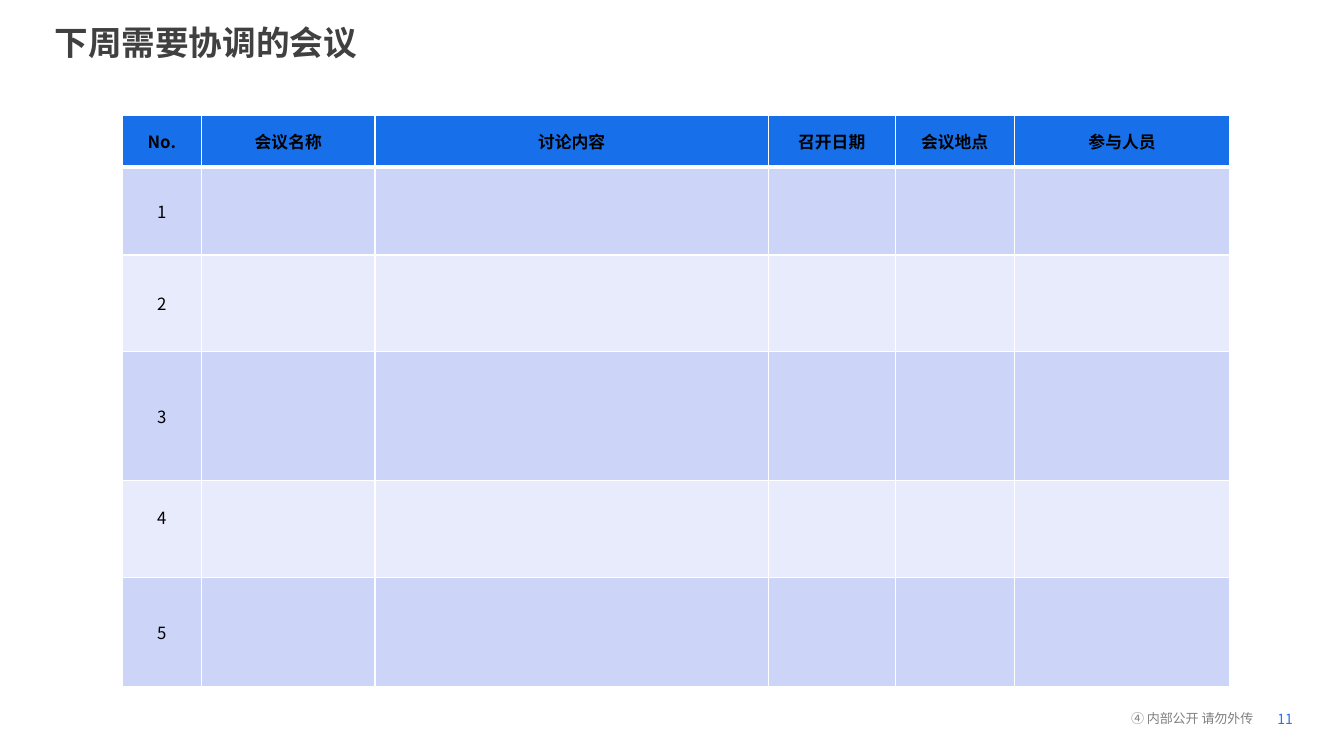
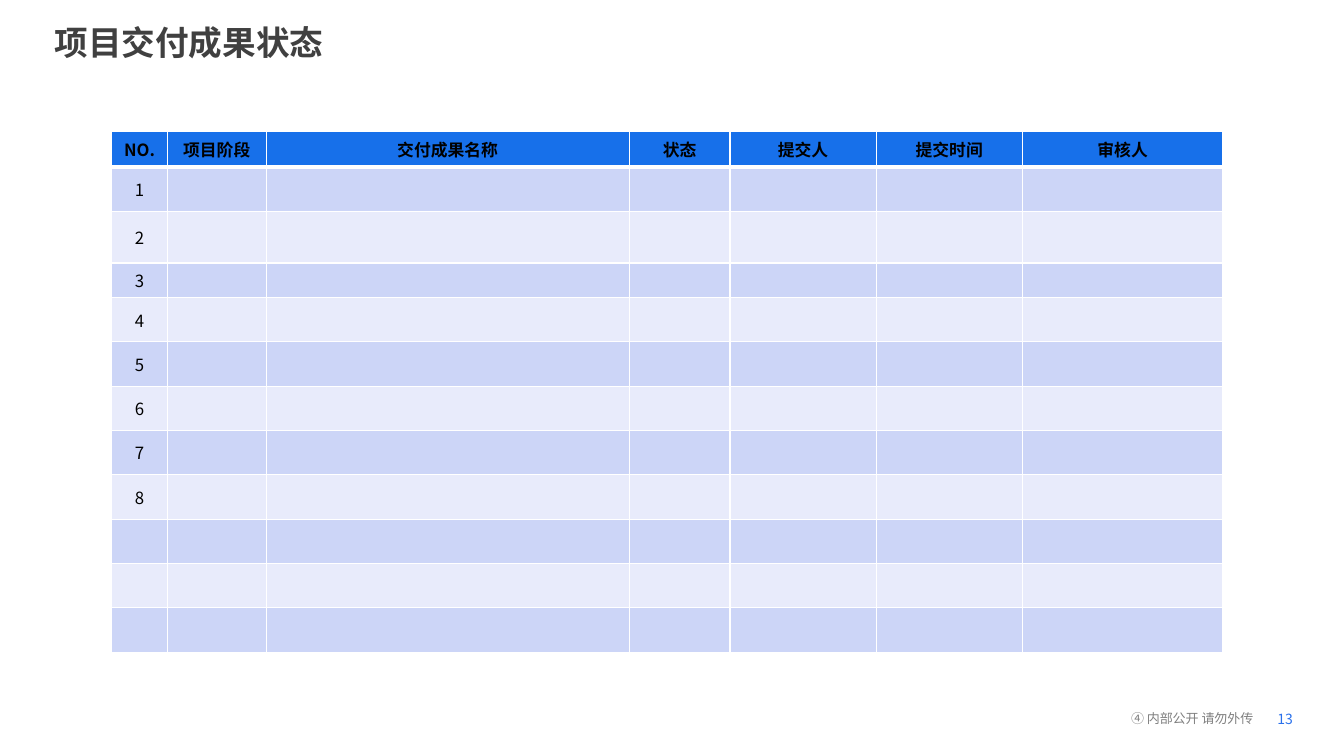
from dataclasses import dataclass

from lxml.etree import SubElement
from pptx import Presentation
from pptx.dml.color import RGBColor
from pptx.enum.text import MSO_ANCHOR as Anchor, MSO_AUTO_SIZE as AutoSize, PP_ALIGN as Align
from pptx.oxml.ns import qn
from pptx.util import Inches, Pt

FONT = "Noto Sans CJK SC"
WHITE = RGBColor(0xFF, 0xFF, 0xFF)
BLACK = RGBColor(0x00, 0x00, 0x00)
TITLE_GRAY = RGBColor(0x40, 0x40, 0x40)
FOOTER_GRAY = RGBColor(0x80, 0x80, 0x80)
NUMBER_BLUE = RGBColor(0x2A, 0x71, 0xEC)
HEADER_BLUE = RGBColor(0x17, 0x70, 0xEA)
BANDS = (RGBColor(0xCC, 0xD5, 0xF7), RGBColor(0xE8, 0xEB, 0xFB))

SLIDE_SIZE = (13.33, 7.5)
TITLE_BOX = (0.44, 0.23, 10.6, 0.51)
FOOTER_BOX = (10.84, 7.02, 1.6, 0.19)
NUMBER_BOX = (12.67, 7.05, 0.23, 0.17)
FOOTER = "④ 内部公开 请勿外传"
TABLE_SIZE = 12
THIN, THICK = 1, 3
TITLE_ONLY = 5


@dataclass(frozen=True)
class TablePage:
    """Lengths are in inches; rows are numbered from 1 up to `numbered`."""
    title: str
    number: int
    left: float
    top: float
    headers: tuple[str, ...]
    columns: tuple[float, ...]
    header_height: float
    rows: tuple[float, ...]
    numbered: int
    raised_row: int = 0


PAGES = (
    TablePage(
        "下周需要协调的会议", 11, 1.21, 1.14,
        ("No.", "会议名称", "讨论内容", "召开日期", "会议地点", "参与人员"),
        (0.79, 1.72, 3.9, 1.26, 1.18, 2.14),
        0.52, (0.87, 0.96, 1.28, 0.96, 1.08), numbered=5, raised_row=4,
    ),
    TablePage(
        "项目交付成果状态", 13, 1.11, 1.3,
        ("NO.", "项目阶段", "交付成果名称", "状态", "提交人", "提交时间", "审核人"),
        (0.55, 0.98, 3.6, 1, 1.45, 1.45, 1.99),
        0.36, (0.44, 0.51, 0.31) + (0.44,) * 8, numbered=8,
    ),
)


def write(frame, text: str, size: float, color: RGBColor, bold: bool = False,
          align: Align = Align.LEFT) -> None:
    frame.text = text
    para = frame.paragraphs[0]
    para.alignment = align
    for span in para.runs:
        span.font.size = Pt(size)
        span.font.bold = bold
        span.font.color.rgb = color
        span.font.name = FONT
        SubElement(span.font._element, qn("a:ea"), typeface=FONT)


def set_margins(frame, inches: float) -> None:
    frame.margin_left = frame.margin_right = Inches(inches)
    frame.margin_top = frame.margin_bottom = Inches(inches)


def add_title(page, text: str) -> None:
    title = page.shapes.title
    title.left, title.top, title.width, title.height = map(Inches, TITLE_BOX)
    frame = title.text_frame
    write(frame, text, 24, TITLE_GRAY, bold=True)
    frame.paragraphs[0].line_spacing = 0.9
    frame.vertical_anchor = Anchor.TOP
    frame.auto_size = AutoSize.NONE
    frame.margin_top = Inches(0.03)


def add_footer(page, number: int) -> None:
    note = page.shapes.add_textbox(*map(Inches, FOOTER_BOX)).text_frame
    write(note, FOOTER, 9.3, FOOTER_GRAY, align=Align.RIGHT)
    note.paragraphs[0].line_spacing = Pt(13.3)
    set_margins(note, 0.01)
    counter = page.shapes.add_textbox(*map(Inches, NUMBER_BOX)).text_frame
    write(counter, str(number), 10, NUMBER_BLUE)
    set_margins(counter, 0)
    for frame in (note, counter):
        frame.word_wrap = True
        frame.vertical_anchor = Anchor.MIDDLE


def set_borders(cell, top: float, bottom: float) -> None:
    """Draw white borders; call before the fill, which must follow them."""
    properties = cell._tc.get_or_add_tcPr()
    for side, width in (("L", THIN), ("R", THIN), ("T", top), ("B", bottom)):
        line = SubElement(properties, qn(f"a:ln{side}"), w=str(Pt(width)))
        SubElement(SubElement(line, qn("a:solidFill")), qn("a:srgbClr"), val=str(WHITE))


def fill_cell(cell, text: str, row: int) -> None:
    is_header = row == 0
    set_borders(cell, THICK if row == 1 else THIN, THICK if is_header else THIN)
    cell.fill.solid()
    cell.fill.fore_color.rgb = HEADER_BLUE if is_header else BANDS[(row - 1) % 2]
    cell.vertical_anchor = Anchor.MIDDLE
    if text:
        write(cell.text_frame, text, TABLE_SIZE, BLACK, is_header, Align.CENTER)
    else:
        para = cell.text_frame.paragraphs[0]
        SubElement(para._p, qn("a:endParaRPr"), sz=str(TABLE_SIZE * 100))


def add_table(page, plan: TablePage) -> None:
    heights = (plan.header_height, *plan.rows)
    table = page.shapes.add_table(
        len(heights), len(plan.columns), Inches(plan.left), Inches(plan.top),
        Inches(sum(plan.columns)), Inches(sum(heights))).table
    for column, width in zip(table.columns, plan.columns):
        column.width = Inches(width)
    for row, height in enumerate(heights):
        table.rows[row].height = Inches(height)
        label = str(row) if row <= plan.numbered else ""
        texts = (label,) + ("",) * (len(plan.columns) - 1) if row else plan.headers
        for column, text in enumerate(texts):
            fill_cell(table.cell(row, column), text, row)
    if plan.raised_row:
        table.cell(plan.raised_row, 0).margin_bottom = Inches(0.29)


def main() -> None:
    deck = Presentation()
    deck.slide_width, deck.slide_height = map(Inches, SLIDE_SIZE)
    for plan in PAGES:
        page = deck.slides.add_slide(deck.slide_layouts[TITLE_ONLY])
        add_title(page, plan.title)
        add_table(page, plan)
        add_footer(page, plan.number)
    deck.save("out.pptx")


if __name__ == "__main__":
    main()
